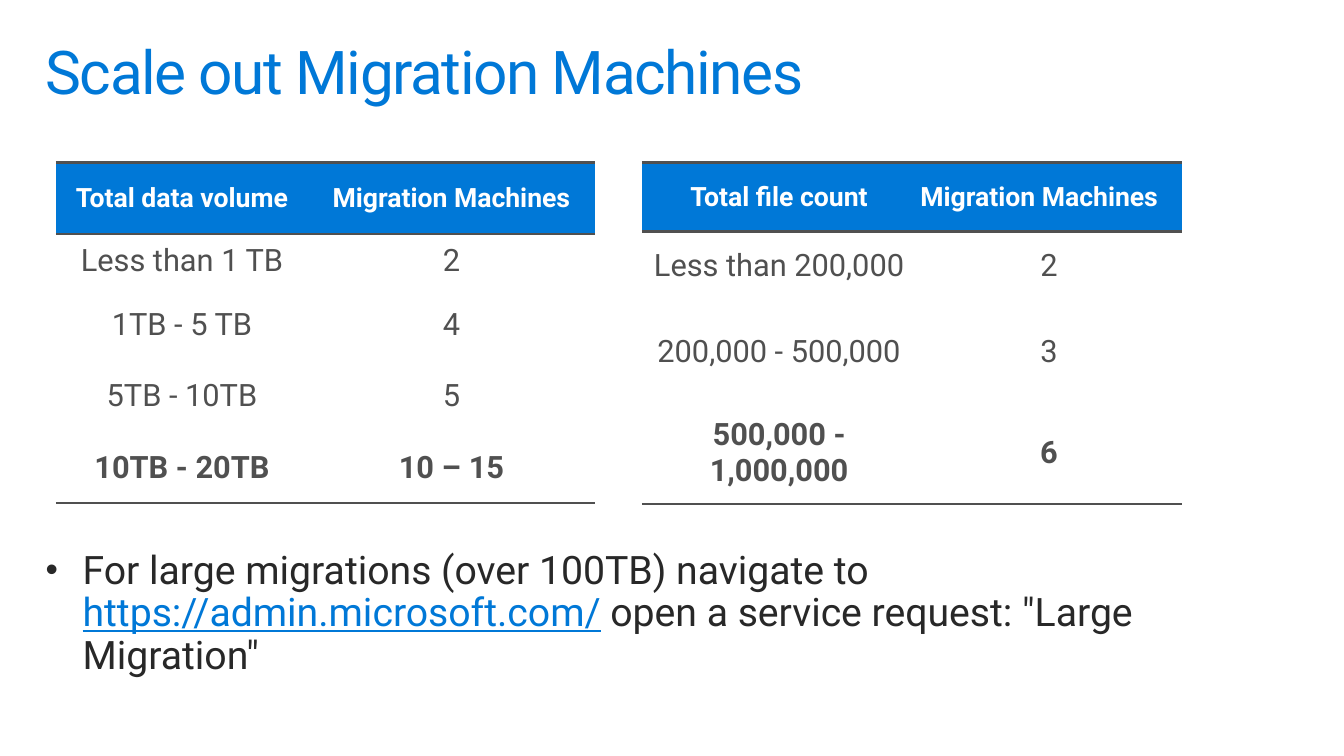
"""Build the slide on scaling out migration machines."""
from dataclasses import dataclass

from lxml.etree import SubElement
from pptx import Presentation
from pptx.dml.color import RGBColor
from pptx.enum.text import MSO_ANCHOR, PP_ALIGN
from pptx.oxml.ns import qn
from pptx.util import Pt


@dataclass(frozen=True)
class Theme:
    """Colours, font and type sizes of the slide."""
    font: str = "Roboto"
    blue: str = "0078D7"
    white: str = "FFFFFF"
    grey: str = "505050"
    dark: str = "282828"
    title_size: float = 43.1
    body_size: float = 28
    header_size: float = 19
    cell_size: float = 22
    rule_width: float = 2


THEME = Theme()


def add_run(paragraph, text, *, size, color, bold=False, underline=False, spacing=0):
    """Append formatted text to a paragraph."""
    run = paragraph.add_run()
    run.text = text
    font = run.font
    font.name = THEME.font
    font.size = Pt(size)
    font.bold = bold
    font.underline = underline
    font.color.rgb = RGBColor.from_string(color)
    if spacing:
        run._r.get_or_add_rPr().set("spc", str(spacing * 100))


def set_frame(frame):
    """Give a text frame its wrapping, insets and top anchor."""
    frame.word_wrap = True
    frame.vertical_anchor = MSO_ANCHOR.TOP
    frame.margin_left = frame.margin_right = Pt(11.5)
    frame.margin_top = frame.margin_bottom = Pt(7.2)


def place_title(slide, text):
    """Move the title placeholder and fill it."""
    title = slide.shapes.title
    title.left, title.top, title.width, title.height = Pt(21), Pt(23), Pt(918), Pt(70.5)
    set_frame(title.text_frame)
    paragraph = title.text_frame.paragraphs[0]
    paragraph.alignment = PP_ALIGN.LEFT
    paragraph.line_spacing = 0.9
    add_run(paragraph, text, size=THEME.title_size, color=THEME.blue, spacing=-1)


def set_borders(cell, edges):
    """Draw rules on the named edges of a cell and clear the others."""
    properties = cell._tc.get_or_add_tcPr()
    for edge in ("lnL", "lnR", "lnT", "lnB"):
        line = SubElement(properties, qn(f"a:{edge}"), w=str(Pt(THEME.rule_width)))
        if edge in edges:
            fill = SubElement(line, qn("a:solidFill"))
            SubElement(fill, qn("a:srgbClr"), val=THEME.grey)
        else:
            SubElement(line, qn("a:noFill"))


def format_cell(cell, text, *, color, fill, edges, alignment=PP_ALIGN.CENTER, **font):
    """Fill one table cell with text, background and rules."""
    set_borders(cell, edges)
    cell.fill.solid()
    cell.fill.fore_color.rgb = RGBColor.from_string(fill)
    cell.vertical_anchor = MSO_ANCHOR.MIDDLE
    cell.margin_left = cell.margin_right = Pt(3)
    cell.margin_top = cell.margin_bottom = Pt(1.5)
    paragraph = cell.text_frame.paragraphs[0]
    paragraph.alignment = alignment
    add_run(paragraph, text, color=color, **font)


def add_machine_table(slide, rows, *, left, widths, heights, last_header=PP_ALIGN.CENTER):
    """Add a table with a blue header and a bold last row."""
    shape = slide.shapes.add_table(len(rows), len(widths), Pt(left), Pt(116),
                                   Pt(sum(widths)), Pt(sum(heights)))
    table = shape.table
    table.first_row = table.horz_banding = False
    for column, width in zip(table.columns, widths):
        column.width = Pt(width)
    last = len(rows) - 1
    for row_index, (values, height) in enumerate(zip(rows, heights)):
        table.rows[row_index].height = Pt(height)
        header = row_index == 0
        edges = {"lnT"} if row_index <= 1 else set()
        if row_index in (0, last):
            edges.add("lnB")
        for column_index, value in enumerate(values):
            aligned = header and column_index == len(widths) - 1
            format_cell(
                table.cell(row_index, column_index), value, edges=edges,
                color=THEME.white if header else THEME.grey,
                fill=THEME.blue if header else THEME.white,
                size=THEME.header_size if header else THEME.cell_size,
                bold=row_index in (0, last),
                alignment=last_header if aligned else PP_ALIGN.CENTER)


def add_bullet(slide, parts):
    """Add the bulleted note from (text, format) parts."""
    box = slide.shapes.add_textbox(Pt(21), Pt(386), Pt(890.5), Pt(106))
    set_frame(box.text_frame)
    paragraph = box.text_frame.paragraphs[0]
    paragraph.line_spacing = 0.9
    properties = paragraph._p.get_or_add_pPr()
    properties.set("marL", str(Pt(26.5)))
    properties.set("indent", str(Pt(-26.5)))
    color = SubElement(properties, qn("a:buClr"))
    SubElement(color, qn("a:srgbClr"), val=THEME.dark)
    SubElement(properties, qn("a:buSzPct"), val="90000")
    SubElement(properties, qn("a:buFont"), typeface="Arial")
    SubElement(properties, qn("a:buChar"), char="•")
    for text, font in parts:
        add_run(paragraph, text, size=THEME.body_size, **font)


def main():
    """Build and save the slide."""
    presentation = Presentation()
    presentation.slide_width, presentation.slide_height = Pt(960), Pt(540)
    slide = presentation.slides.add_slide(presentation.slide_layouts.get_by_name("Title Only"))
    place_title(slide, "Scale out Migration Machines")
    add_machine_table(slide, [
        ("Total data volume", "Migration Machines"),
        ("Less than 1 TB", "2"),
        ("1TB - 5 TB", "4"),
        ("5TB - 10TB", "5"),
        ("10TB - 20TB", "10 – 15"),
    ], left=40, widths=(180, 205), heights=(51, 39.5, 51, 51, 51))
    add_machine_table(slide, [
        ("Total file count", "Migration Machines"),
        ("Less than 200,000", "2"),
        ("200,000 - 500,000", "3"),
        ("500,000 - 1,000,000", "6"),
    ], left=458.5, widths=(196, 189.5), heights=(49.5, 49.5, 72.5, 72.5),
        last_header=PP_ALIGN.LEFT)
    add_bullet(slide, [
        ("For large migrations (over 100TB) navigate to ", {"color": THEME.dark}),
        ("https://admin.microsoft.com/", {"color": THEME.blue, "underline": True}),
        (' open a service request: "Large Migration"', {"color": THEME.dark}),
    ])
    presentation.save("out.pptx")


if __name__ == "__main__":
    main()
